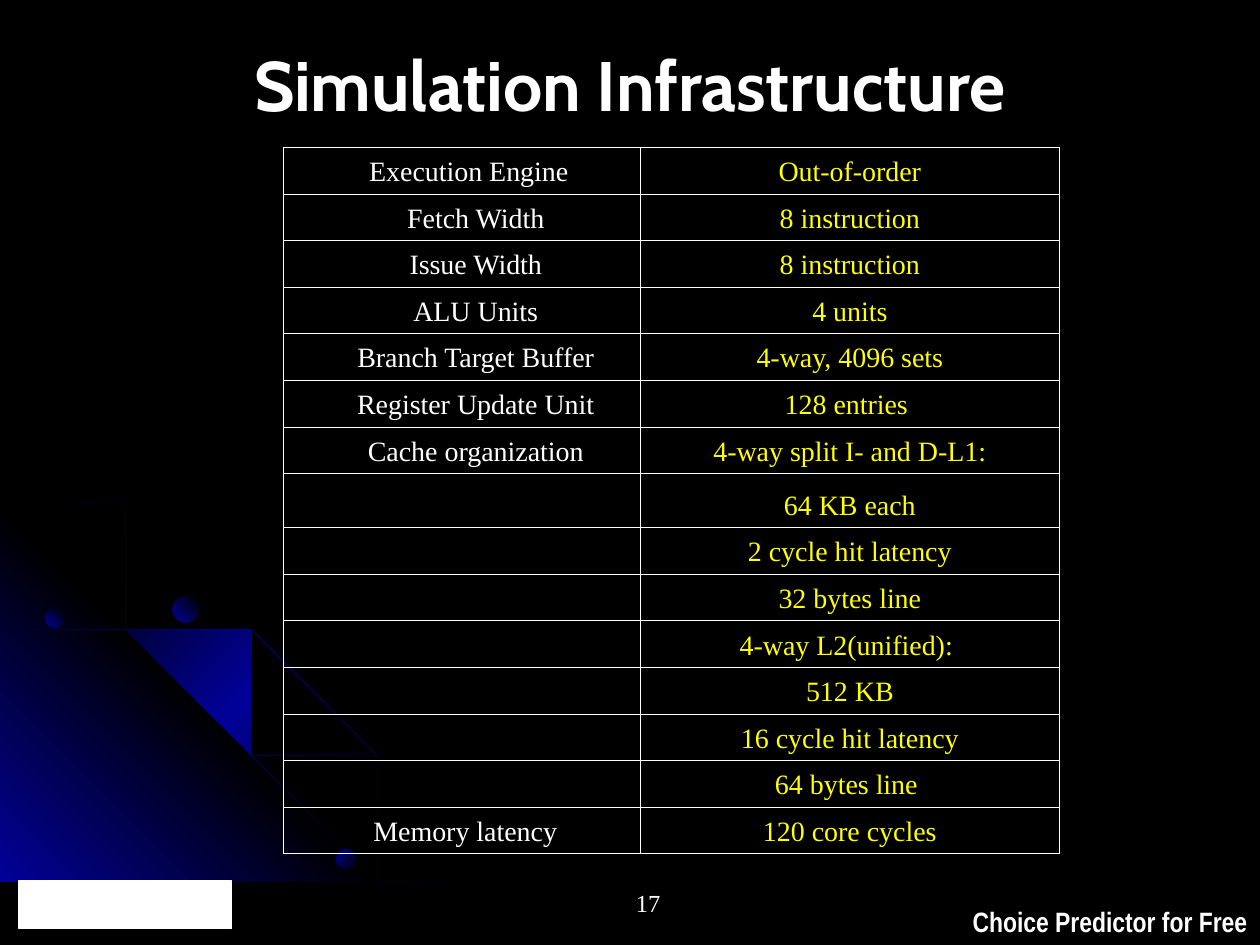
from typing import NamedTuple

from lxml.etree import SubElement
from pptx import Presentation
from pptx.dml.color import RGBColor
from pptx.enum.shapes import MSO_SHAPE
from pptx.enum.text import MSO_ANCHOR, MSO_AUTO_SIZE, PP_ALIGN
from pptx.oxml.ns import qn
from pptx.util import Inches, Pt

BLACK = RGBColor(0x00, 0x00, 0x00)
WHITE = RGBColor(0xFF, 0xFF, 0xFF)
YELLOW = RGBColor(0xFF, 0xFF, 0x00)
BLUE = RGBColor(0x01, 0x01, 0x99)

# The slide is a grid of 10 columns by 7.5 rows with square cells
SLIDE_WIDTH, SLIDE_HEIGHT = Inches(10), Inches(7.5)
CELL = SLIDE_WIDTH // 10
BODY_FONT = "Times New Roman"
SPACE = Pt(4)  # width of one space in the table text


class Box(NamedTuple):
    left: float
    top: float
    width: float
    height: float

    def lengths(self) -> list[int]:
        return [round(side * CELL) for side in self]


class Style(NamedTuple):
    size: int
    font: str
    color: RGBColor
    bold: bool = False


class Gradient(NamedTuple):
    colors: tuple[RGBColor, ...]
    angle: int


class Band(NamedTuple):
    points: list[tuple[float, float]]
    gradient: Gradient


class Ball(NamedTuple):
    box: Box
    gradient: Gradient


class Setting(NamedTuple):
    label: str
    value: str
    label_shift: int = 4  # in spaces, to the right
    value_shift: int = 0
    height: float = 0.37


ARC = Gradient((BLACK, BLUE, BLACK), 225)
GLOW = Gradient((BLUE, BLACK, BLUE), 135)

BANDS = [
    Band([(0.57, 4.47), (0.28, 4.41), (0, 4.35), (0, 4.38), (0.28, 4.43), (0.56, 4.49),
          (0.97, 4.61), (1.35, 4.78), (1.73, 4.99), (2.08, 5.23), (2.41, 5.49),
          (2.71, 5.79), (2.98, 6.12), (3.23, 6.49), (3.37, 6.73), (3.5, 6.98),
          (3.6, 7.23), (3.7, 7.49), (3.72, 7.49), (3.62, 7.23), (3.52, 6.98),
          (3.39, 6.73), (3.25, 6.48), (3, 6.11), (2.72, 5.78), (2.42, 5.48),
          (2.09, 5.21), (1.74, 4.97), (1.36, 4.77), (0.98, 4.59)], ARC),
    Band([(3.22, 7.49), (0, 7.49), (0, 4.27)], GLOW),
    Band([(2.85, 7.14), (2.94, 7.32), (3.01, 7.49), (3.03, 7.49), (2.96, 7.3),
          (2.86, 7.12), (2.66, 6.76), (2.42, 6.4), (2.15, 6.06), (1.84, 5.76),
          (1.52, 5.49), (1.17, 5.26), (0.79, 5.05), (0.41, 4.88), (0, 4.75),
          (0, 4.77), (0.39, 4.9), (0.77, 5.07), (1.15, 5.28), (1.5, 5.51),
          (1.83, 5.78), (2.13, 6.08), (2.4, 6.42), (2.65, 6.77)], ARC),
    Band([(0, 4.42), (0, 4.44), (0.36, 4.57), (0.74, 4.75), (1.09, 4.94), (1.42, 5.18),
          (1.73, 5.44), (2.02, 5.75), (2.27, 6.05), (2.52, 6.41), (2.67, 6.67),
          (2.8, 6.94), (2.92, 7.22), (3.01, 7.49), (3.03, 7.49), (2.94, 7.2),
          (2.82, 6.93), (2.69, 6.65), (2.54, 6.39), (2.29, 6.03), (2.04, 5.73),
          (1.75, 5.43), (1.44, 5.16), (1.11, 4.93), (0.76, 4.73), (0.39, 4.55)], ARC),
]
BALLS = [
    Ball(Box(0.36, 4.83, 0.15, 0.15), Gradient((BLACK, BLUE), 135)),
    Ball(Box(2.67, 6.74, 0.16, 0.16), Gradient((BLACK, BLUE), 225)),
    Ball(Box(1.37, 4.73, 0.21, 0.21), Gradient((BLACK, BLUE), 135)),
]

COLUMNS = (2.83, 3.33)
SETTINGS = [
    Setting("Execution Engine", "Out-of-order", label_shift=2),
    Setting("Fetch Width", "8 instruction"),
    Setting("Issue Width", "8 instruction"),
    Setting("ALU Units", "4 units"),
    Setting("Branch Target Buffer", "4-way, 4096 sets"),
    Setting("Register Update Unit", "128 entries", value_shift=-1),
    Setting("Cache organization", "4-way split I- and D-L1:"),
    Setting("", "64 KB each", height=0.43),
    Setting("", "2 cycle hit latency"),
    Setting("", "32 bytes line"),
    Setting("", "4-way L2(unified):", value_shift=-1),
    Setting("", "512 KB"),
    Setting("", "16 cycle hit latency"),
    Setting("", "64 bytes line", value_shift=-1),
    Setting("Memory latency", "120 core cycles", label_shift=1),
]


def format_text(frame, text: str, style: Style, align=PP_ALIGN.LEFT) -> None:
    frame.text = text
    para = frame.paragraphs[0]
    para.alignment = align
    for span in para.runs:
        span.font.size = Pt(style.size)
        span.font.name = style.font
        span.font.bold = style.bold
        span.font.color.rgb = style.color


def paint_gradient(shape, gradient: Gradient) -> None:
    shape.shadow.inherit = False
    shape.line.fill.background()
    shape.fill.gradient()
    fill = shape._element.spPr.find(qn("a:gradFill"))
    for child in list(fill):
        fill.remove(child)
    stops = SubElement(fill, qn("a:gsLst"))
    last = len(gradient.colors) - 1
    for index, color in enumerate(gradient.colors):
        stop = SubElement(stops, qn("a:gs"), pos=str(100000 * index // last))
        SubElement(stop, qn("a:srgbClr"), val=str(color))
    SubElement(fill, qn("a:lin"), ang=str(gradient.angle * 60000), scaled="0")


def draw_band(page, band: Band) -> None:
    builder = page.shapes.build_freeform(*band.points[0], scale=CELL)
    builder.add_line_segments(band.points[1:], close=True)
    paint_gradient(builder.convert_to_shape(), band.gradient)


def draw_ball(page, ball: Ball) -> None:
    shape = page.shapes.add_shape(MSO_SHAPE.OVAL, *ball.box.lengths())
    paint_gradient(shape, ball.gradient)


def draw_text(page, box: Box, text: str, style: Style, align, wrap: bool) -> None:
    frame = page.shapes.add_textbox(*box.lengths()).text_frame
    frame.word_wrap = wrap
    format_text(frame, text, style, align)


def fill_cell(cell, text: str, color: RGBColor, shift: int) -> None:
    format_text(cell.text_frame, text, Style(16, BODY_FONT, color), PP_ALIGN.CENTER)
    cell.vertical_anchor = MSO_ANCHOR.BOTTOM
    cell.margin_left = Inches(0.1) + SPACE * max(shift, 0)
    cell.margin_right = Inches(0.1) + SPACE * max(-shift, 0)
    if not text:  # keeps an empty row from growing
        SubElement(cell.text_frame.paragraphs[0]._p, qn("a:endParaRPr"), sz="1600")
    # Borders come before the fill
    properties = cell._tc.get_or_add_tcPr()
    for side in ("L", "R", "T", "B"):
        border = SubElement(properties, qn(f"a:ln{side}"), w=str(Pt(0.45)))
        SubElement(SubElement(border, qn("a:solidFill")), qn("a:srgbClr"), val=str(WHITE))
    cell.fill.background()


def draw_settings(page, left: float, top: float) -> None:
    box = Box(left, top, sum(COLUMNS), sum(row.height for row in SETTINGS))
    table = page.shapes.add_table(len(SETTINGS), len(COLUMNS), *box.lengths()).table
    table.first_row = table.horz_banding = False
    for column, width in zip(table.columns, COLUMNS):
        column.width = round(width * CELL)
    for row, setting in zip(table.rows, SETTINGS):
        row.height = round(setting.height * CELL)
        fill_cell(row.cells[0], setting.label, WHITE, setting.label_shift)
        fill_cell(row.cells[1], setting.value, YELLOW, setting.value_shift)


def main() -> None:
    deck = Presentation()
    deck.slide_width, deck.slide_height = SLIDE_WIDTH, SLIDE_HEIGHT
    page = deck.slides.add_slide(deck.slide_layouts[5])
    page.background.fill.solid()
    page.background.fill.fore_color.rgb = BLACK

    # Corner decoration
    for band in BANDS:
        draw_band(page, band)
    for ball in BALLS:
        draw_ball(page, ball)

    # Footer: plain panel, running title and page number
    panel = page.shapes.add_shape(MSO_SHAPE.RECTANGLE, *Box(0.15, 6.99, 1.69, 0.38).lengths())
    panel.shadow.inherit = False
    panel.fill.solid()
    panel.fill.fore_color.rgb = panel.line.color.rgb = WHITE
    panel.line.width = Pt(0.75)
    draw_text(page, Box(7.62, 7.13, 2.38, 0.37), "Choice Predictor for Free",
              Style(16, "Arial Narrow", WHITE, True), PP_ALIGN.LEFT, False)
    draw_text(page, Box(4.17, 7, 1.17, 0.42), "17",
              Style(14, BODY_FONT, WHITE), PP_ALIGN.RIGHT, True)

    # Title
    title = page.shapes.title
    title.left, title.top, title.width, title.height = Box(0.5, 0.08, 9, 1.17).lengths()
    title.text_frame.auto_size = MSO_AUTO_SIZE.NONE
    title.text_frame.vertical_anchor = MSO_ANCHOR.MIDDLE
    format_text(title.text_frame, "Simulation Infrastructure",
                Style(40, "Cabin", WHITE, True), PP_ALIGN.CENTER)

    # Simulator settings
    draw_settings(page, 2.25, 1.17)
    deck.save("out.pptx")


if __name__ == "__main__":
    main()
